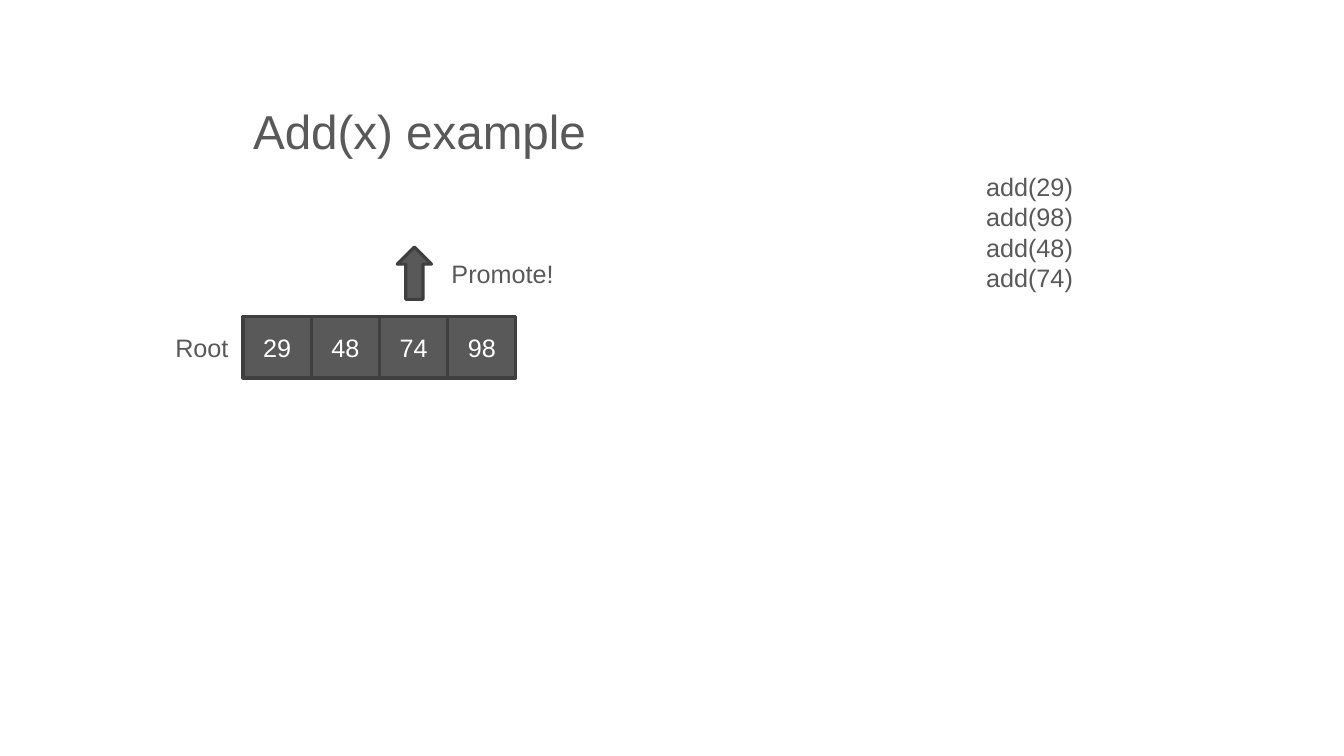
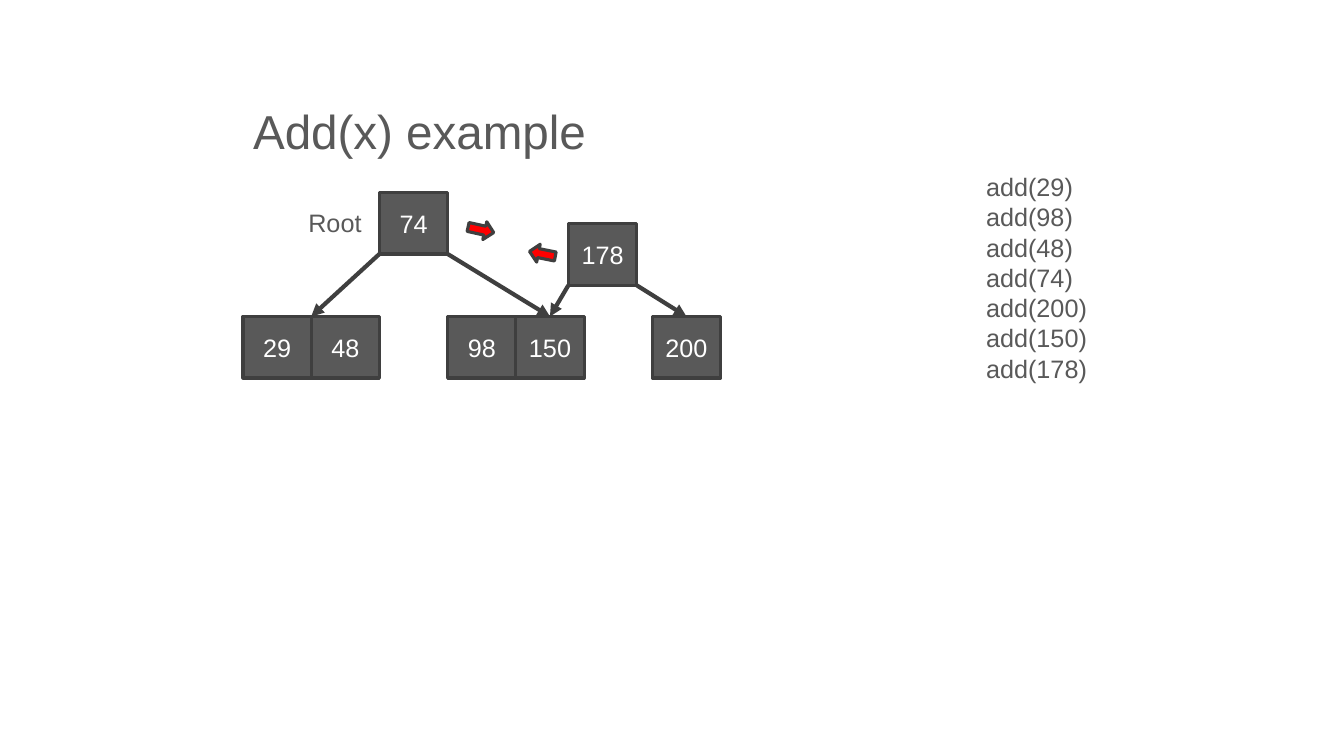
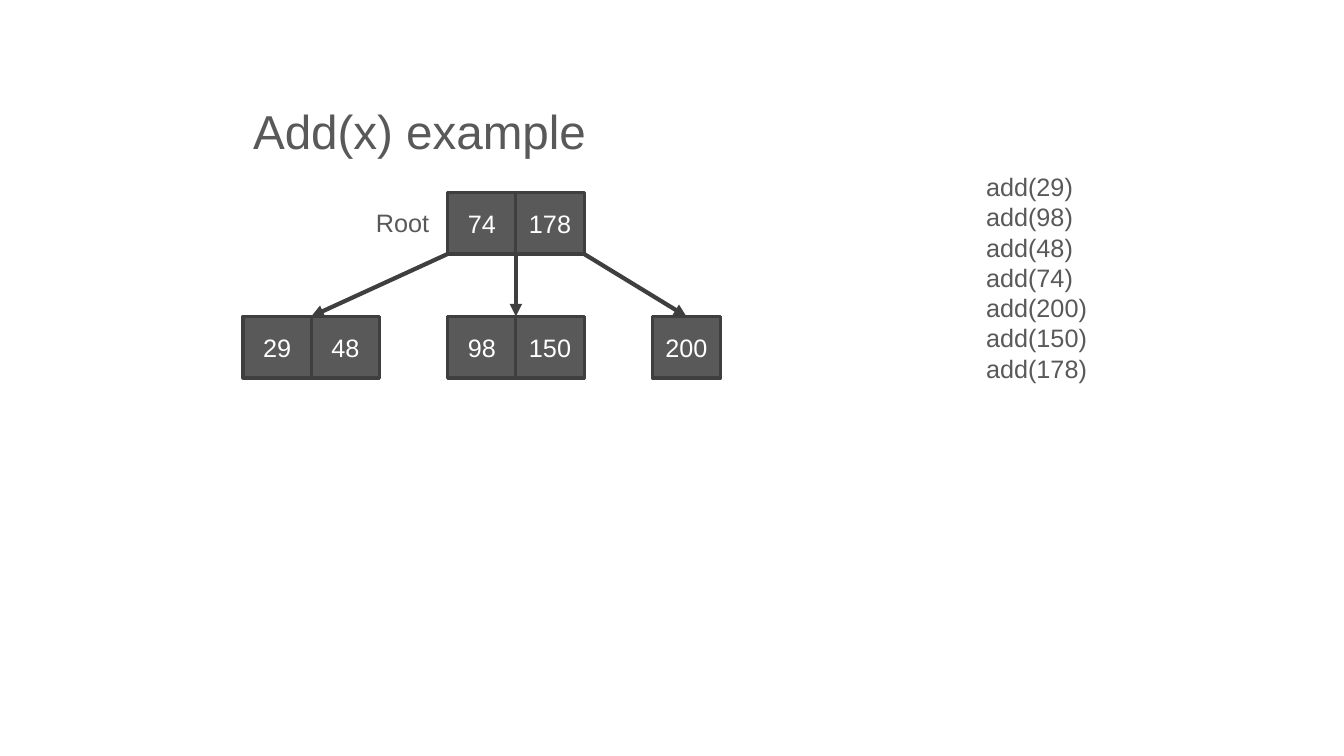
import pptx
import pptx.dml.color
import pptx.enum.shapes
import pptx.enum.text
import pptx.oxml.ns
import pptx.util
from lxml import etree

Inches = pptx.util.Inches
Pt = pptx.util.Pt
Kind = pptx.enum.shapes.MSO_SHAPE
Anchor = pptx.enum.text.MSO_ANCHOR
Align = pptx.enum.text.PP_ALIGN
Fit = pptx.enum.text.MSO_AUTO_SIZE
qn = pptx.oxml.ns.qn

HUES = {"gray": "595959", "edge": "3F3F3F", "white": "FFFFFF", "red": "FF0000"}
FONT = "Arial"

# Tree grid: seven columns, three levels
LEFT = 2.41
STEP = (6.47 - LEFT) / 6
HIGH = 0.61
TOP, MID, LOW = 1.91, 2.22, 3.14


def hue(name):
    return pptx.dml.color.RGBColor.from_string(HUES[name])


def col(num):
    return LEFT + num * STEP


class Deck:
    """Holds the shared style and the current slide."""

    def __init__(self):
        self.file = pptx.Presentation()
        self.file.slide_width = Inches(13.33)
        self.file.slide_height = Inches(7.5)
        self.slide = None

    def text(self, para, words, size=18, color="gray"):
        run = para.add_run()
        run.text = words
        run.font.name = FONT
        run.font.size = Pt(size)
        run.font.color.rgb = hue(color)

    def place(self, shape, x, y, w, h):
        shape.left, shape.top = Inches(x), Inches(y)
        shape.width, shape.height = Inches(w), Inches(h)

    def page(self, title, calls):
        self.slide = self.file.slides.add_slide(self.file.slide_layouts[1])
        head, body = self.slide.placeholders
        # Title
        self.place(head, 2.41, 0.33, 10.25, 1.31)
        frame = head.text_frame
        frame.auto_size = Fit.NONE
        frame.vertical_anchor = Anchor.BOTTOM
        para = frame.paragraphs[0]
        para.alignment = Align.LEFT
        para.line_spacing = 0.9
        self.text(para, title, 34)
        # List of calls, without bullets
        self.place(body, 9.68, 1.65, 2.98, 0.1 + 0.3 * len(calls))
        frame = body.text_frame
        frame.auto_size = Fit.SHAPE_TO_FIT_TEXT
        for num, call in enumerate(calls):
            para = frame.add_paragraph() if num else frame.paragraphs[0]
            para.space_before = Pt(0)
            props = para._p.get_or_add_pPr()
            props.set("marL", "0")
            props.set("indent", "0")
            etree.SubElement(props, qn("a:buNone"))
            self.text(para, f"add({call})")

    def shape(self, kind, x, y, w, h, fill="gray", turn=0):
        shape = self.slide.shapes.add_shape(
            kind, Inches(x), Inches(y), Inches(w), Inches(h))
        shape.shadow.inherit = False
        shape.fill.solid()
        shape.fill.fore_color.rgb = hue(fill)
        shape.line.color.rgb = hue("edge")
        shape.line.width = Pt(2.25)
        shape.rotation = turn
        return shape

    def node(self, start, y, *keys):
        for num, key in enumerate(keys):
            box = self.shape(Kind.RECTANGLE, col(start + num), y, STEP, HIGH)
            frame = box.text_frame
            frame.vertical_anchor = Anchor.MIDDLE
            para = frame.paragraphs[0]
            para.alignment = Align.CENTER
            self.text(para, str(key), color="white")

    def label(self, words, x, y, w):
        box = self.slide.shapes.add_textbox(
            Inches(x), Inches(y), Inches(w), Inches(0.4))
        box.text_frame.word_wrap = True
        box.text_frame.auto_size = Fit.SHAPE_TO_FIT_TEXT
        self.text(box.text_frame.paragraphs[0], words)

    def link(self, start, y, end):
        """Arrow from the foot of a node at level y to the lowest level."""
        line = self.slide.shapes.add_connector(
            pptx.enum.shapes.MSO_CONNECTOR.STRAIGHT,
            Inches(col(start)), Inches(y + HIGH), Inches(col(end)), Inches(LOW))
        line.line.color.rgb = hue("edge")
        line.line.width = Pt(3)
        props = line._element.spPr
        etree.SubElement(props.find(qn("a:ln")), qn("a:tailEnd"), type="triangle")
        etree.SubElement(props, qn("a:effectLst"))


def main():
    deck = Deck()
    title = "Add(x) example"
    calls = [29, 98, 48, 74, 200, 150, 178]

    # Full root: promote the middle key
    deck.page(title, calls[:4])
    deck.node(0, LOW, 29, 48, 74, 98)
    deck.shape(Kind.UP_ARROW, 3.94, 2.45, 0.34, 0.52)
    deck.label("Promote!", 4.38, 2.51, 1.23)
    deck.label("Root", 1.64, 3.25, 0.74)

    # Merge of the promoted key, then the final tree
    for merged in (False, True):
        deck.page(title, calls)
        deck.node(0, LOW, 29, 48)
        deck.node(3, LOW, 98, 150)
        deck.node(6, LOW, 200)
        if merged:
            deck.node(3, TOP, 74, 178)
            deck.label("Root", 3.63, 2.01, 0.74)
            links = [(3, TOP, 1), (4, TOP, 4), (5, TOP, 6.5)]
        else:
            side = 4.77
            deck.node(2, TOP, 74)
            deck.node(side, MID, 178)
            deck.label("Root", 2.96, 2.01, 0.74)
            links = [(2, TOP, 1), (3, TOP, 4.5),
                     (side, MID, 4.5), (side + 1, MID, 6.5)]
            deck.shape(Kind.LEFT_ARROW, 5.25, 2.43, 0.26, 0.18, "red", 11.2)
            deck.shape(Kind.RIGHT_ARROW, 4.64, 2.19, 0.26, 0.18, "red", 12.4)
        for link in links:
            deck.link(*link)

    deck.file.save("out.pptx")


if __name__ == "__main__":
    main()
